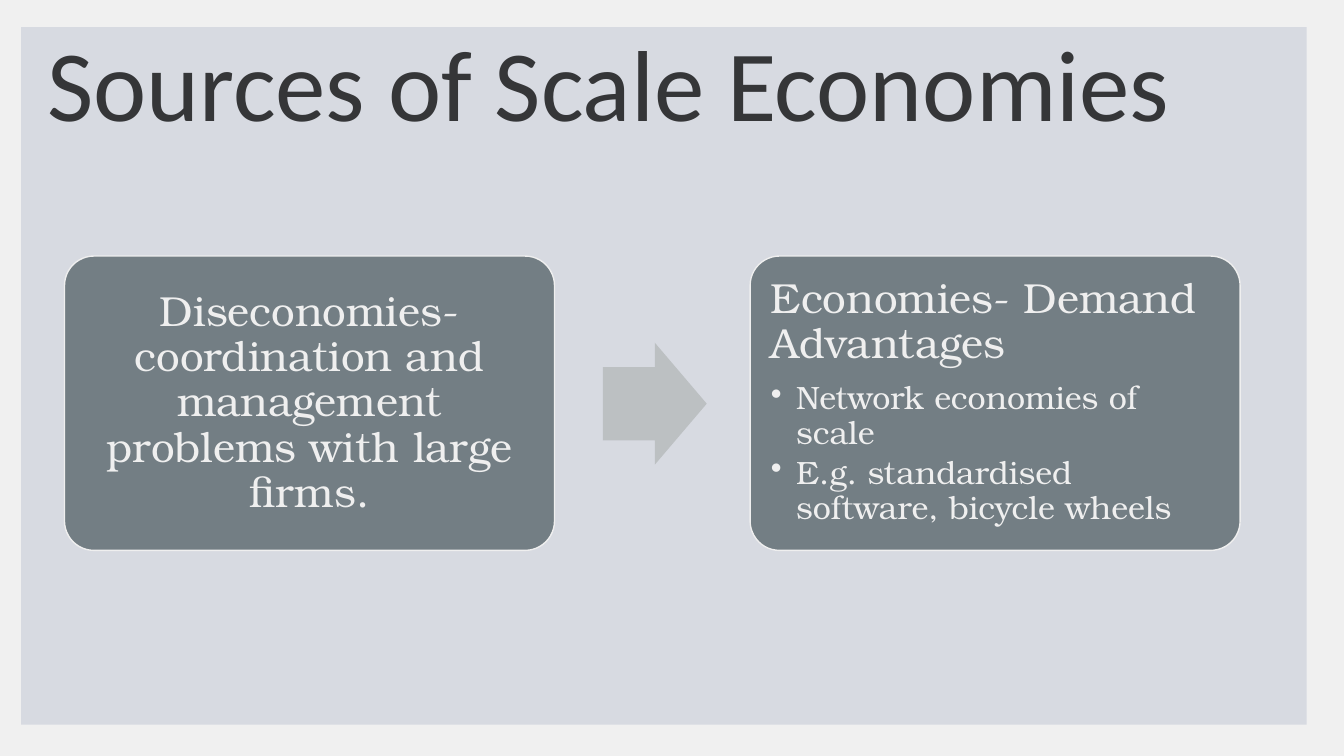
from lxml import etree
from pptx import Presentation
from pptx.dml.color import RGBColor
from pptx.enum.shapes import MSO_SHAPE
from pptx.enum.text import MSO_ANCHOR, PP_ALIGN
from pptx.oxml.ns import qn
from pptx.util import Pt

PX = 9144  # 100 px to the inch
RECT, ROUND, ARROW = MSO_SHAPE.RECTANGLE, MSO_SHAPE.ROUNDED_RECTANGLE, MSO_SHAPE.RIGHT_ARROW
TOP, MIDDLE = MSO_ANCHOR.TOP, MSO_ANCHOR.MIDDLE
LEFT, CENTER = PP_ALIGN.LEFT, PP_ALIGN.CENTER
COLORS = {"back": "F0F0F0", "panel": "D7DAE1", "title": "353638",
          "card": "737E84", "light": "EFEFEF", "arrow": "BCC0C2"}
TITLE_FONT, BODY_FONT = "Calibri", "TeX Gyre Bonum"
HEAD_SIZE, BULLET_SIZE = 30, 23


def rgb(name):
    return RGBColor.from_string(COLORS[name])


class Deck:
    def __init__(self, width, height):
        self.prs = Presentation()
        self.prs.slide_width, self.prs.slide_height = width * PX, height * PX
        self.s = self.prs.slides.add_slide(self.prs.slide_layouts[6])
        self.s.background.fill.solid()
        self.s.background.fill.fore_color.rgb = rgb("back")

    def shape(self, kind, box, fill, line=None, adjust=()):
        sp = self.s.shapes.add_shape(kind, *(n * PX for n in box))
        sp.shadow.inherit = False
        sp.fill.solid()
        sp.fill.fore_color.rgb = rgb(fill)
        if line:
            sp.line.color.rgb = rgb(line)
            sp.line.width = Pt(1)
        else:
            sp.line.fill.background()
        for i, value in enumerate(adjust):
            sp.adjustments[i] = value
        return sp

    def frame(self, sp, anchor, inset_x, inset_y):
        tf = sp.text_frame
        tf.word_wrap = True
        tf.vertical_anchor = anchor
        tf.margin_left = tf.margin_right = inset_x * PX
        tf.margin_top = tf.margin_bottom = inset_y * PX
        return tf

    def paragraph(self, p, text, size, font, color, align=LEFT, after=0, bullet=False):
        """Fill p with one run; after is the space below as a share of the size."""
        p.alignment = align
        p.line_spacing = 0.9
        p.space_after = Pt(size * after)
        if bullet:
            p.level = 1
            pPr = p._p.get_or_add_pPr()
            pPr.set("marL", str(25 * PX))
            pPr.set("indent", str(-25 * PX))
            etree.SubElement(pPr, qn("a:buChar")).set("char", "•")
        r = p.add_run()
        r.text = text
        r.font.size = Pt(size)
        r.font.name = font
        r.font.color.rgb = rgb(color)

    def title(self, box, text):
        sp = self.s.shapes.add_textbox(*(n * PX for n in box))
        tf = self.frame(sp, MIDDLE, 10, 5)
        self.paragraph(tf.paragraphs[0], text, 72, TITLE_FONT, "title")

    def card(self, box, heading, bullets=()):
        """Rounded card: a centred statement, or a heading above bullets."""
        sp = self.shape(ROUND, box, "card", "light", [0.1])
        tf = self.frame(sp, TOP if bullets else MIDDLE, 12, 12)
        self.paragraph(tf.paragraphs[0], heading, HEAD_SIZE, BODY_FONT, "light",
                       LEFT if bullets else CENTER, 0.35)
        for text in bullets:
            self.paragraph(tf.add_paragraph(), text, BULLET_SIZE, BODY_FONT, "light",
                           after=0.15, bullet=True)


def main():
    deck = Deck(1333, 750)
    deck.shape(RECT, (21, 27, 1275, 692), "panel")
    deck.title((37, 27, 1177, 122), "Sources of Scale Economies")
    deck.card((64, 254, 486, 292),
              "Diseconomies- coordination and management problems with large firms.")
    deck.shape(ARROW, (598, 340, 103, 121), "arrow", adjust=[0.6, 0.5])
    deck.card((744, 254, 486, 292), "Economies- Demand Advantages",
              ["Network economies of scale", "E.g. standardised software, bicycle wheels"])
    deck.prs.save("out.pptx")


if __name__ == "__main__":
    main()
